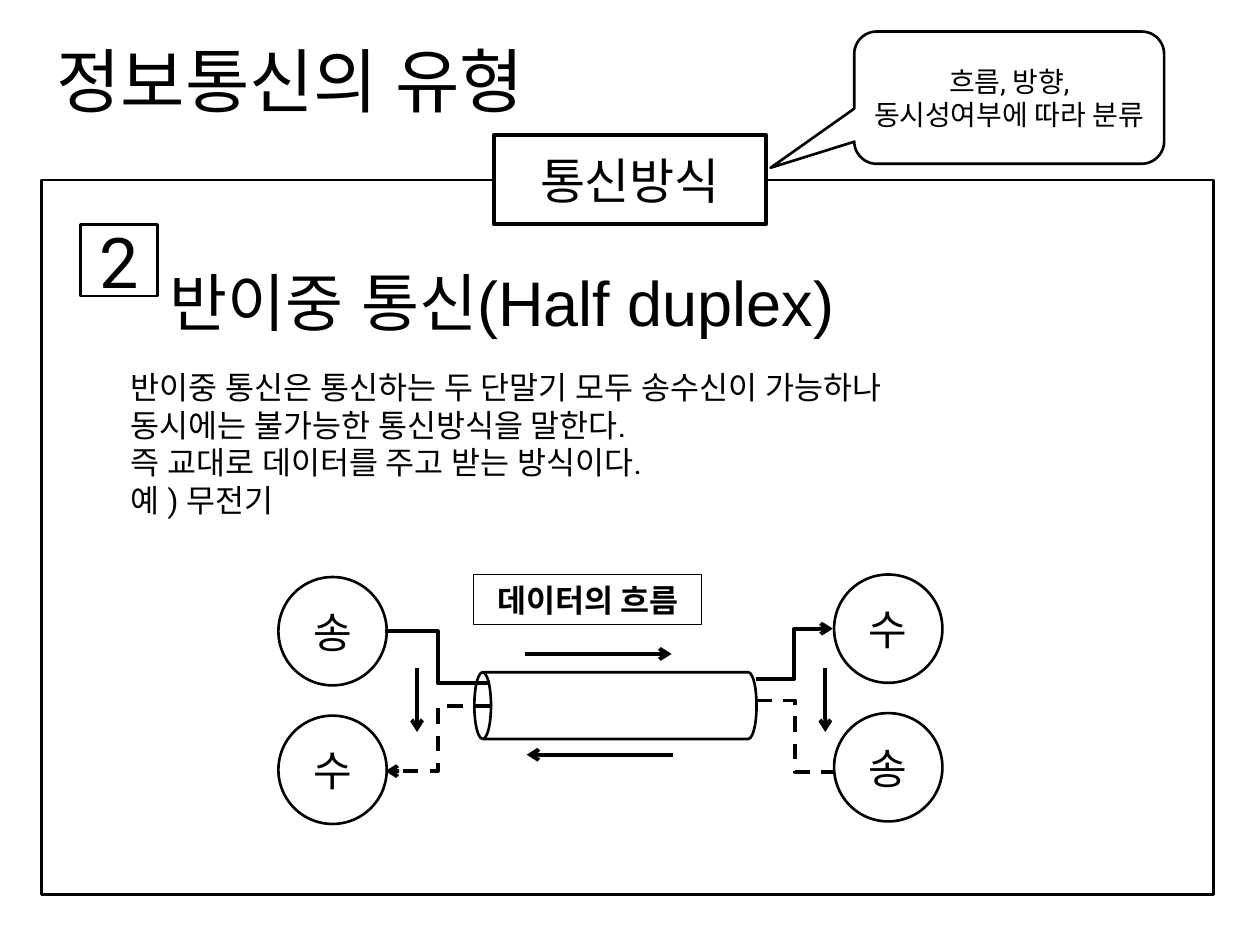
from lxml.etree import SubElement
from pptx import Presentation
from pptx.dml.color import RGBColor
from pptx.enum.dml import MSO_LINE
from pptx.enum.shapes import MSO_CONNECTOR, MSO_SHAPE
from pptx.enum.text import MSO_ANCHOR, MSO_AUTO_SIZE, PP_ALIGN
from pptx.oxml.ns import qn
from pptx.util import Inches, Pt

BLACK, WHITE = "000000", "FFFFFF"


def color(hex_code):
    return RGBColor.from_string(hex_code)


def write(frame, text, size=18, font="Roboto", bold=False, align=PP_ALIGN.LEFT,
          anchor=MSO_ANCHOR.TOP, grow=False):
    frame.word_wrap = True
    frame.vertical_anchor = anchor
    if grow:
        frame.auto_size = MSO_AUTO_SIZE.SHAPE_TO_FIT_TEXT
    paragraph = frame.paragraphs[0]
    paragraph.text = text
    paragraph.alignment = align
    for run in paragraph.runs:
        run.font.size = Pt(size)
        run.font.name = font
        run.font.bold = bold
        run.font.color.rgb = color(BLACK)
        SubElement(run.font._element, qn("a:ea"), typeface=font)


class Diagram:
    """Draws black-outlined elements on one slide."""

    def __init__(self, slide, ink=BLACK, paper=WHITE):
        self.shapes = slide.shapes
        self.ink = color(ink)
        self.paper = color(paper)

    def text(self, box, text, **style):
        label = self.shapes.add_textbox(*map(Inches, box))
        write(label.text_frame, text, grow=True, **style)

    def shape(self, kind, box, text=None, weight=1.5, filled=True, **style):
        shape = self.shapes.add_shape(kind, *map(Inches, box))
        shape.shadow.inherit = False
        if filled:
            shape.fill.solid()
            shape.fill.fore_color.rgb = self.paper
        else:
            shape.fill.background()
        shape.line.color.rgb = self.ink
        shape.line.width = Pt(weight)
        if text:
            write(shape.text_frame, text, align=PP_ALIGN.CENTER,
                  **{"anchor": MSO_ANCHOR.MIDDLE, **style})
        return shape

    def line(self, start, end, kind=MSO_CONNECTOR.STRAIGHT, arrow=True, dashed=False):
        line = self.shapes.add_connector(kind, *map(Inches, (*start, *end)))
        line.line.color.rgb = self.ink
        line.line.width = Pt(2.25)
        if dashed:
            line.line.dash_style = MSO_LINE.DASH
        if arrow:
            SubElement(line.line._get_or_add_ln(), qn("a:tailEnd"), type="arrow")
        SubElement(line._element.spPr, qn("a:effectLst"))


def draw_header(diagram):
    diagram.text((0.35, 0.25, 4.65, 0.77), "정보통신의 유형", size=40)
    diagram.shape(MSO_SHAPE.RECTANGLE, (0.33, 1.43, 9.3, 5.67))
    diagram.shape(MSO_SHAPE.RECTANGLE, (3.92, 1.07, 2.16, 0.71), "통신방식",
                  weight=2.25, size=28)
    callout = diagram.shape(MSO_SHAPE.ROUNDED_RECTANGULAR_CALLOUT,
                            (6.78, 0.25, 2.46, 1.05),
                            "흐름, 방향, 동시성여부에 따라 분류", size=16)
    for index, value in enumerate((-0.77, 0.53, 0.17)):
        callout.adjustments[index] = value


def draw_definition(diagram):
    diagram.shape(MSO_SHAPE.RECTANGLE, (0.64, 1.78, 0.61, 0.57), "2", size=40)
    diagram.text((1.25, 2.04, 6.99, 0.71), "반이중 통신(Half duplex)",
                 size=36, font="Arial")
    diagram.text((0.94, 2.87, 6.7, 1.31),
                 "반이중 통신은 통신하는 두 단말기 모두 송수신이 가능하나\n"
                 "동시에는 불가능한 통신방식을 말한다.\n"
                 "즉 교대로 데이터를 주고 받는 방식이다.\n"
                 "예 ) 무전기")


def draw_data_flow(diagram):
    terminal = 0.86
    for left, top, roles in ((2.21, 4.58, "송수"), (6.62, 4.56, "수송")):
        for row, role in enumerate(roles):
            diagram.shape(MSO_SHAPE.OVAL, (left, top + 1.1 * row, terminal, terminal),
                          role, size=24)

    channel = diagram.shape(MSO_SHAPE.CAN, (4.62, 4.48, 0.53, 2.24))
    channel.rotation = 270

    elbow = MSO_CONNECTOR.ELBOW
    diagram.line((3.06, 5.01), (3.89, 5.42), elbow, arrow=False)
    diagram.line((6, 5.56), (6.62, 6.13), elbow, arrow=False, dashed=True)
    diagram.line((6, 5.39), (6.61, 4.99), elbow)
    diagram.line((3.89, 5.6), (3.06, 6.12), elbow, dashed=True)

    diagram.line((4.17, 5.19), (5.33, 5.19))
    diagram.line((5.34, 5.99), (4.18, 5.99))
    for x in (3.31, 6.55):
        diagram.line((x, 5.3), (x, 5.81))

    diagram.shape(MSO_SHAPE.RECTANGLE, (3.76, 4.56, 1.81, 0.4), "데이터의 흐름",
                  weight=0.75, filled=False, font="Noto Sans CJK KR", bold=True,
                  anchor=MSO_ANCHOR.TOP, grow=True)


def main():
    presentation = Presentation()
    presentation.slide_width = Inches(10)
    presentation.slide_height = Inches(7.5)
    diagram = Diagram(presentation.slides.add_slide(presentation.slide_layouts[6]))
    draw_header(diagram)
    draw_definition(diagram)
    draw_data_flow(diagram)
    presentation.save("out.pptx")


if __name__ == "__main__":
    main()
